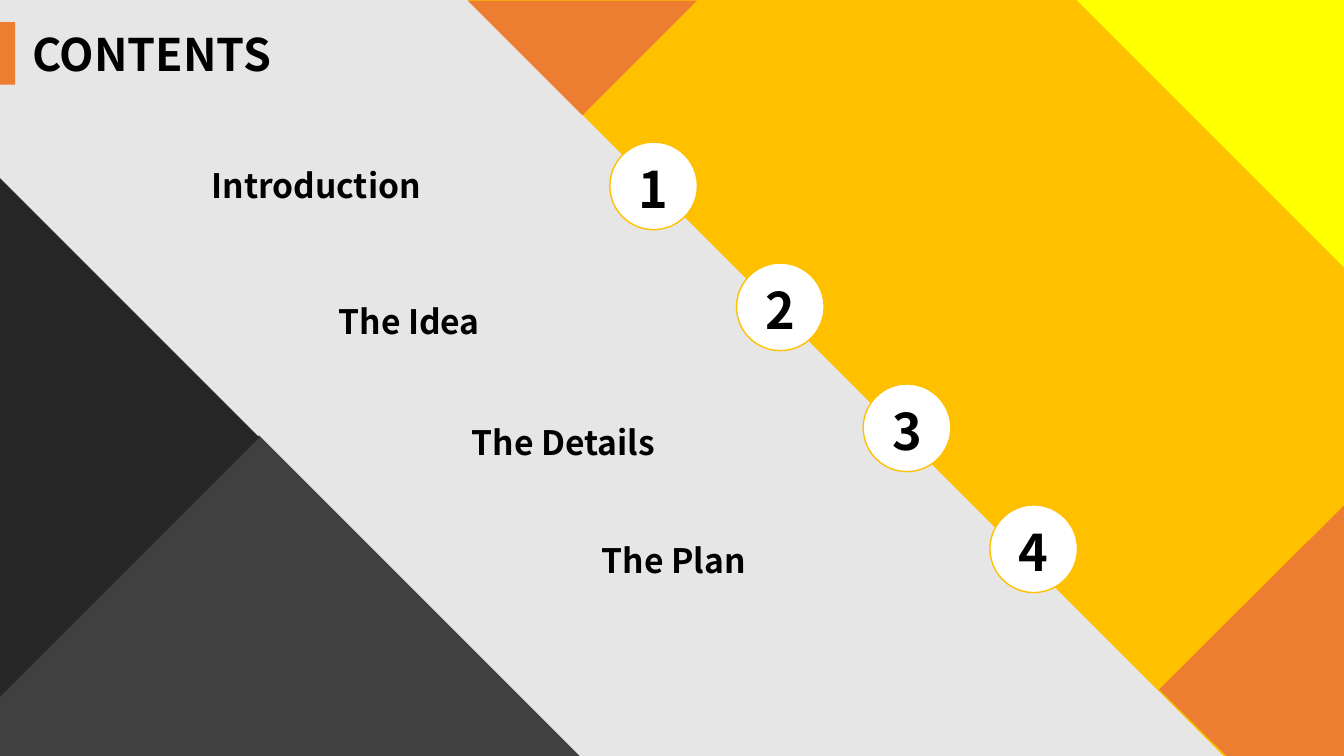
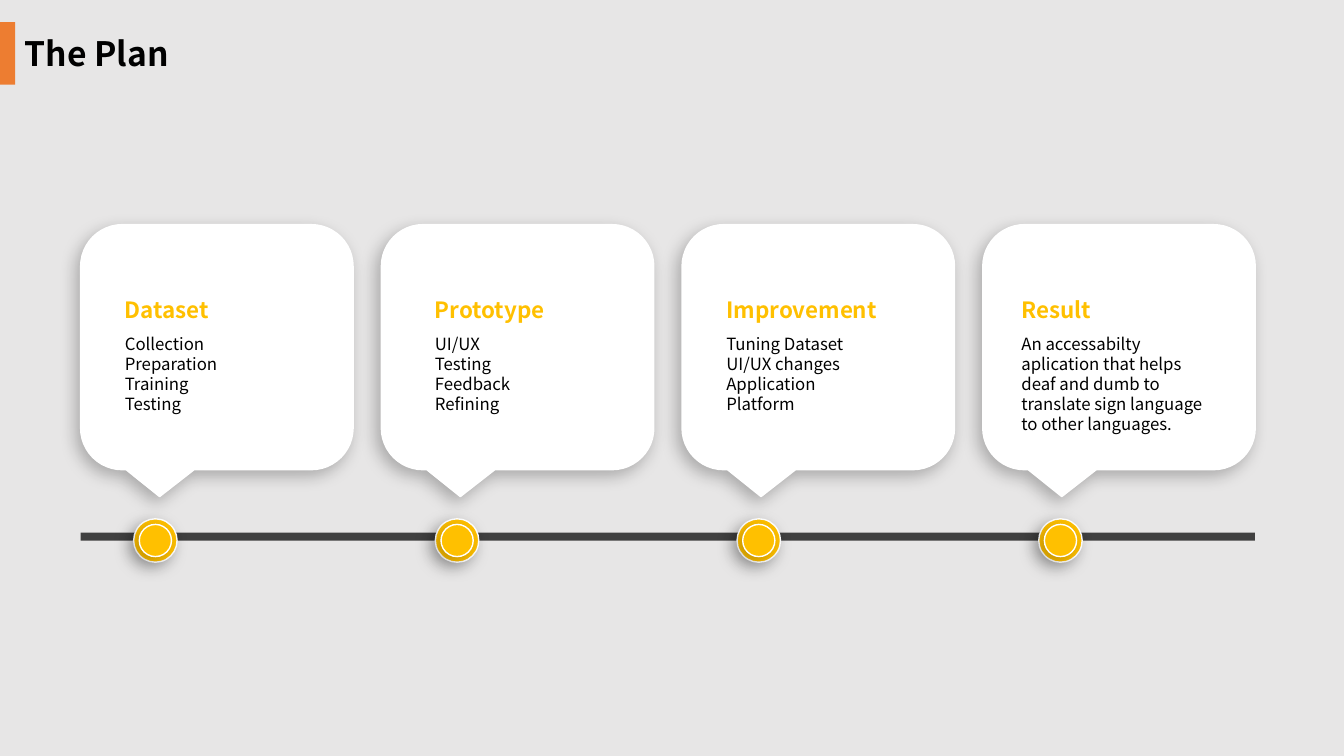
from dataclasses import dataclass

from lxml import etree
from pptx import Presentation
from pptx.dml.color import RGBColor
from pptx.enum.shapes import MSO_SHAPE
from pptx.enum.text import MSO_ANCHOR, PP_ALIGN
from pptx.oxml.ns import qn
from pptx.util import Pt

RECTANGLE = MSO_SHAPE.RECTANGLE
OVAL = MSO_SHAPE.OVAL
RIGHT_TRIANGLE = MSO_SHAPE.RIGHT_TRIANGLE
CALLOUT = MSO_SHAPE.ROUNDED_RECTANGULAR_CALLOUT
TOP, MIDDLE = MSO_ANCHOR.TOP, MSO_ANCHOR.MIDDLE
LEFT, CENTER = PP_ALIGN.LEFT, PP_ALIGN.CENTER

WIDTH, HEIGHT = 960, 540
FONT = "Noto Sans CJK SC"
LINE_HEIGHT = 1.2
BACKGROUND, WHITE, BLACK = "E7E6E6", "FFFFFF", "000000"
ORANGE, AMBER, YELLOW = "ED7D31", "FFC000", "FFFF00"
CHARCOAL, GREY = "262626", "404040"


@dataclass
class Triangle:
    left: float
    top: float
    side: float
    rotation: float
    color: str


@dataclass
class Polygon:
    points: list[tuple[float, float]]
    color: str


@dataclass
class Topic:
    text: str
    left: float
    top: float


@dataclass
class Stage:
    heading: str
    lines: list[str]
    indent: float


DECORATIONS = [
    Polygon([(334, 0), (WIDTH, 0), (WIDTH, HEIGHT), (874, HEIGHT)], AMBER),
    Triangle(769, 0, 191, 180, YELLOW),
    Triangle(358, -57.6, 116, 315, ORANGE),
    Polygon([(WIDTH, 361), (WIDTH, HEIGHT), (876, HEIGHT), (828, 492.5)], ORANGE),
    Polygon([(185, 311), (414, HEIGHT), (0, HEIGHT), (0, 497)], GREY),
    Triangle(-131, 181.5, 262, 225, CHARCOAL),
]

TOPICS = [
    Topic("Introduction", 144, 114.5),
    Topic("The Idea", 234.7, 211.7),
    Topic("The Details", 329.8, 298.1),
    Topic("The Plan", 422.6, 382.3),
]

STAGES = [
    Stage("Dataset", ["Collection", "Preparation", "Training", "Testing"], 24.5),
    Stage("Prototype", ["UI/UX", "Testing", "Feedback", "Refining"], 31.2),
    Stage("Improvement",
          ["Tuning Dataset", "UI/UX changes", "Application", "Platform"], 24.5),
    Stage("Result",
          ["An accessabilty aplication that helps deaf and dumb to "
           "translate sign language to other languages."], 20.5),
]


def rgb(color: str) -> RGBColor:
    return RGBColor.from_string(color)


def paint(shape, fill: str, line: str | None = None) -> None:
    """Give a shape a flat fill, an optional 1 pt outline and no shadow."""
    shape.shadow.inherit = False
    shape.fill.solid()
    shape.fill.fore_color.rgb = rgb(fill)
    if line:
        shape.line.color.rgb = rgb(line)
        shape.line.width = Pt(1)
    else:
        shape.line.fill.background()


def add_preset(slide, preset, left: float, top: float, width: float, height: float,
               fill: str, line: str | None = None):
    shape = slide.shapes.add_shape(preset, Pt(left), Pt(top), Pt(width), Pt(height))
    paint(shape, fill, line)
    return shape


def add_soft_shadow(shape) -> None:
    """Cast a blurred shadow towards the lower left."""
    effects = shape._element.spPr.find(qn("a:effectLst"))
    shadow = etree.SubElement(
        effects, qn("a:outerShdw"), blurRad=str(Pt(12)), dist=str(Pt(5)),
        dir="8100000", algn="tr", rotWithShape="0")
    color = etree.SubElement(shadow, qn("a:srgbClr"), val=BLACK)
    etree.SubElement(color, qn("a:alpha"), val="26000")


def write(shape, text: str, size: float, color: str = BLACK, bold: bool = True,
          align=LEFT, anchor=TOP) -> None:
    """Fill a shape with text; each line becomes a paragraph."""
    frame = shape.text_frame
    frame.word_wrap = True
    frame.vertical_anchor = anchor
    frame.text = text
    for paragraph in frame.paragraphs:
        paragraph.alignment = align
        paragraph.line_spacing = Pt(size * LINE_HEIGHT)
        for run in paragraph.runs:
            run.font.name = FONT
            run.font.size = Pt(size)
            run.font.bold = bold
            run.font.color.rgb = rgb(color)


def add_text(slide, text: str, left: float, top: float, width: float, height: float,
             size: float, **style) -> None:
    box = slide.shapes.add_textbox(Pt(left), Pt(top), Pt(width), Pt(height))
    write(box, text, size, **style)


def add_title(slide, text: str, left: float, size: float) -> None:
    """Add the orange edge mark and the slide title beside it."""
    top, height = 15.8, 44.8
    add_preset(slide, RECTANGLE, 0, top, 10.8, height, ORANGE)
    add_text(slide, text, left, top, 273, height, size, anchor=MIDDLE)


def add_decoration(slide, decoration: Triangle | Polygon) -> None:
    if isinstance(decoration, Triangle):
        shape = add_preset(slide, RIGHT_TRIANGLE, decoration.left, decoration.top,
                           decoration.side, decoration.side, decoration.color)
        shape.rotation = decoration.rotation
        return
    start, *others = [(Pt(x), Pt(y)) for x, y in decoration.points]
    builder = slide.shapes.build_freeform(*start)
    builder.add_line_segments(others)
    paint(builder.convert_to_shape(), decoration.color)


def add_topic(slide, index: int, topic: Topic) -> None:
    """Add a topic label and its numbered circle on the diagonal edge."""
    diameter = 62.6
    circle = add_preset(slide, OVAL, 435.6 + index * 90.5, 101.5 + index * 86.4,
                        diameter, diameter, WHITE, AMBER)
    frame = circle.text_frame
    frame.margin_left = frame.margin_right = frame.margin_bottom = 0
    frame.margin_top = Pt(4)
    write(circle, str(index + 1), 36, align=CENTER, anchor=MIDDLE)
    add_text(slide, topic.text, topic.left, topic.top, 291.6, 36, 24)


def add_marker(slide, left: float, top: float) -> None:
    """Add two concentric circles on the timeline."""
    outer, inner = 31, 23
    for diameter in (outer, inner):
        inset = (outer - diameter) / 2
        circle = add_preset(slide, OVAL, left + inset, top + inset,
                            diameter, diameter, AMBER, WHITE)
        add_soft_shadow(circle)


def add_stage(slide, index: int, stage: Stage) -> None:
    """Add a timeline marker with its callout."""
    left = 57.6 + index * 214.8
    add_marker(slide, 95.5 + index * 215.5, 370.6)
    callout = add_preset(slide, CALLOUT, left, 160.5, 194.6, 175, WHITE, WHITE)
    for position, value in enumerate((-0.21, 0.61, 0.17)):
        callout.adjustments[position] = value
    add_soft_shadow(callout)
    text_left = left + stage.indent
    add_text(slide, stage.heading, text_left, 208, 156, 26.6, 16, color=AMBER)
    add_text(slide, "\n".join(stage.lines), text_left, 234.6, 153, 80, 12, bold=False)


def build_contents(slide) -> None:
    for decoration in DECORATIONS:
        add_decoration(slide, decoration)
    add_title(slide, "CONTENTS", 15.8, 32)
    for index, topic in enumerate(TOPICS):
        add_topic(slide, index, topic)


def build_plan(slide) -> None:
    add_title(slide, "The Plan", 10.5, 24)
    add_preset(slide, RECTANGLE, 57.6, 380.4, 838.8, 5.8, GREY)
    for index, stage in enumerate(STAGES):
        add_stage(slide, index, stage)


def main() -> None:
    presentation = Presentation()
    presentation.slide_width, presentation.slide_height = Pt(WIDTH), Pt(HEIGHT)
    background = presentation.slide_master.background.fill
    background.solid()
    background.fore_color.rgb = rgb(BACKGROUND)
    blank = presentation.slide_layouts[6]
    for build in (build_contents, build_plan):
        build(presentation.slides.add_slide(blank))
    presentation.save("out.pptx")


if __name__ == "__main__":
    main()
